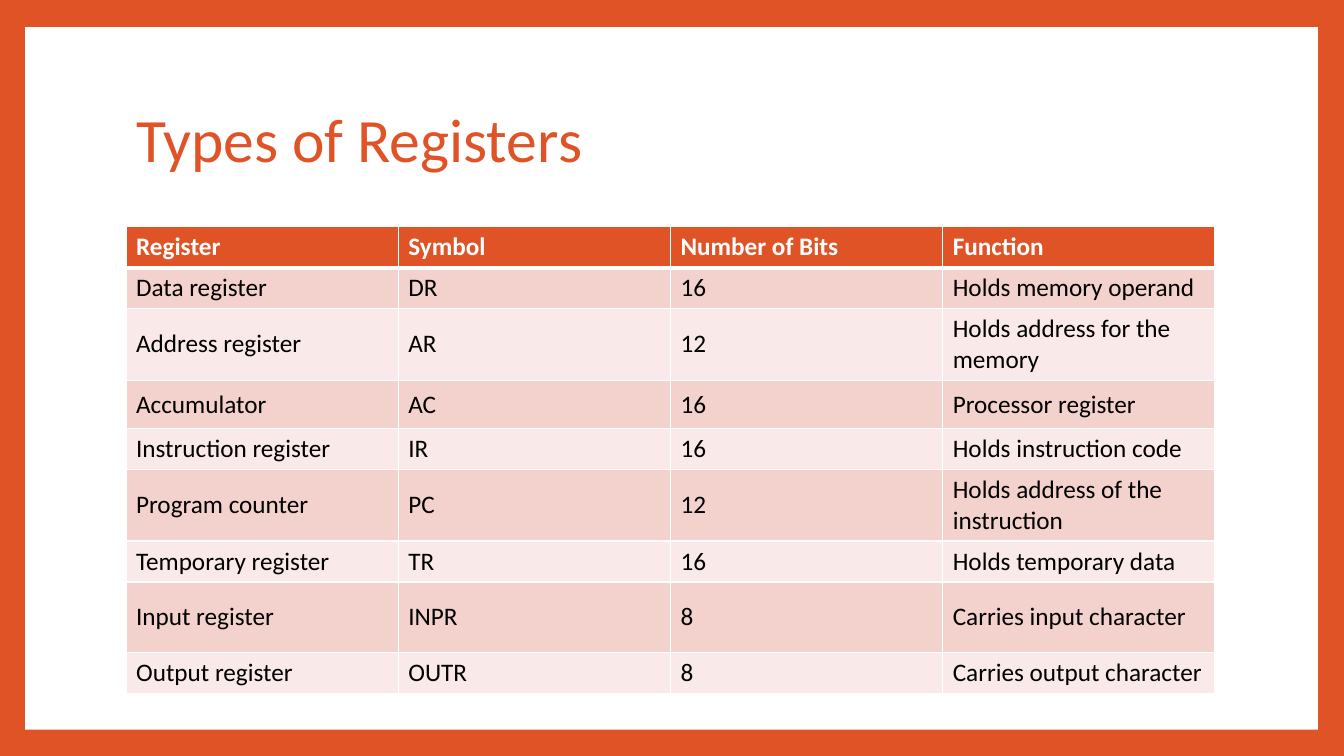
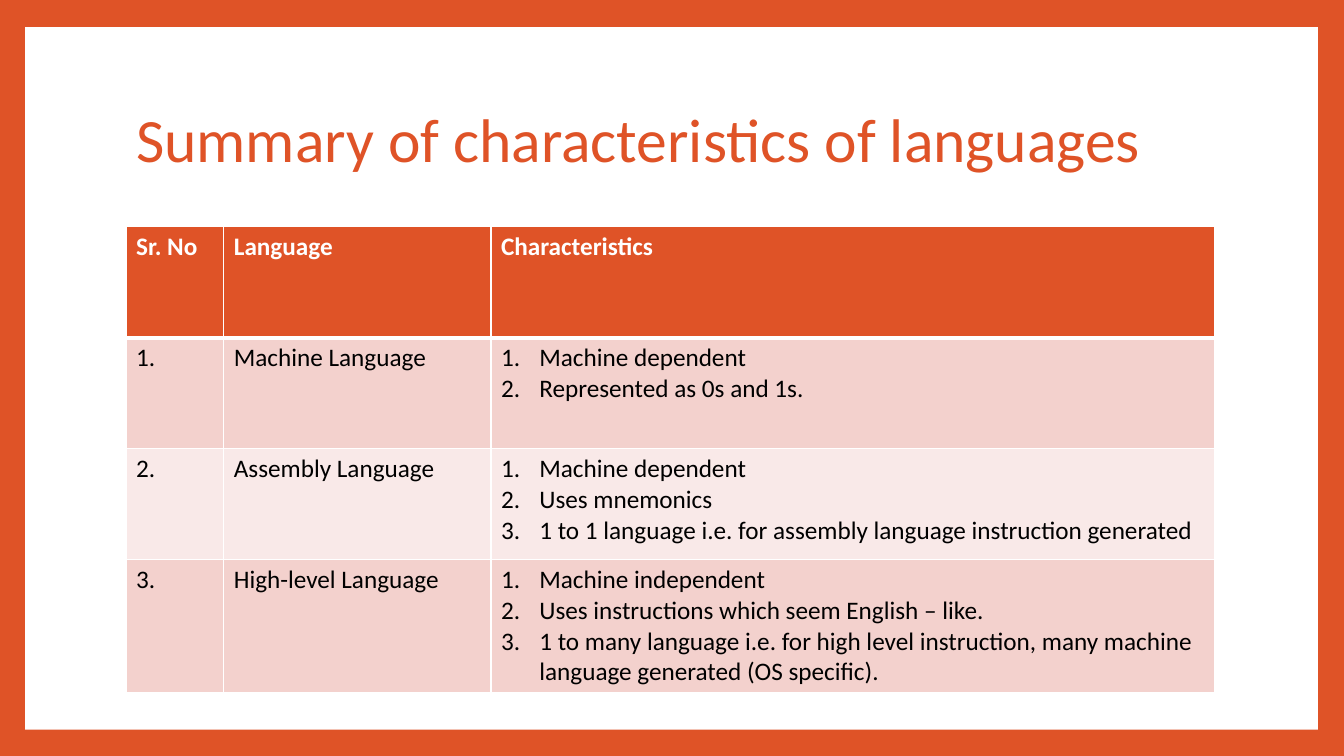
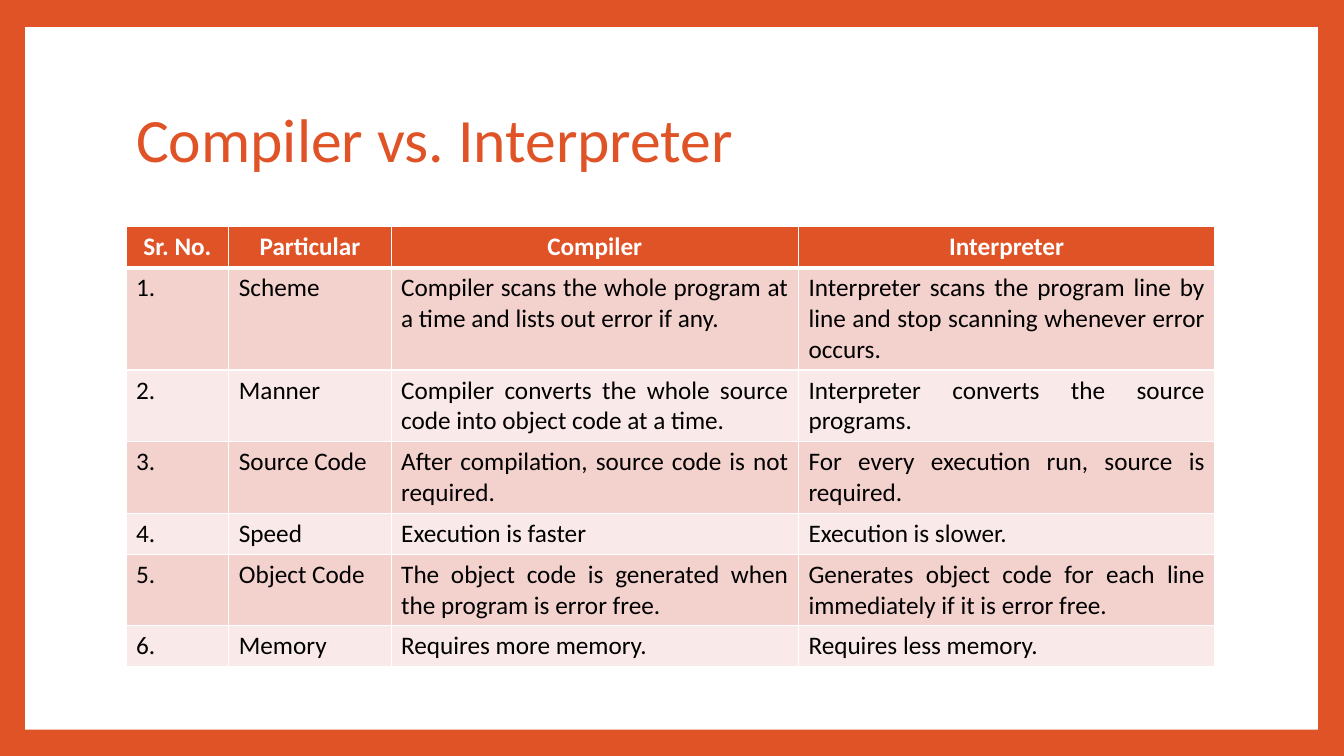
from dataclasses import dataclass
from typing import Any

from lxml.etree import SubElement
from pptx import Presentation
from pptx.dml.color import RGBColor
from pptx.enum.shapes import MSO_SHAPE
from pptx.enum.text import MSO_ANCHOR, MSO_AUTO_SIZE, PP_ALIGN
from pptx.oxml.ns import qn
from pptx.util import Pt

PX = 9144  # EMU in one px, at 100 px to the inch
WIDE, HIGH = 1333, 750
HUES = {
    "accent": "DF5327",
    "white": "FFFFFF",
    "black": "000000",
    "dark": "F3D1CD",
    "light": "F9E9E8",
}
FONT = "Calibri"
PANEL = (25, 27, 1282, 697)
TITLE = (125, 67, 1080, 148)
LEFT, TOP = 125, 225
HANG = 38
TITLE_FONT = {"name": FONT, "size": Pt(44), "bold": False}
HEAD_FONT = {"name": FONT, "size": Pt(18), "bold": True}
BODY_FONT = {"name": FONT, "size": Pt(18), "bold": False}


@dataclass(frozen=True)
class Grid:
    """One slide: a title and a table; a tuple in a cell is a numbered list."""
    title: str
    cols: tuple[int, ...]
    heights: tuple[int, ...]
    rows: tuple[tuple[Any, ...], ...]
    anchor: MSO_ANCHOR = MSO_ANCHOR.TOP
    head: PP_ALIGN = PP_ALIGN.LEFT
    prose: PP_ALIGN = PP_ALIGN.LEFT  # body cells from the third column on


GRIDS = (
    Grid(
        "Types of Registers",
        (270,) * 4,
        (40, 40, 70, 48, 40, 70, 40, 70, 40),
        (
            ("Register", "Symbol", "Number of Bits", "Function"),
            ("Data register", "DR", "16", "Holds memory operand"),
            ("Address register", "AR", "12", "Holds address for the memory"),
            ("Accumulator", "AC", "16", "Processor register"),
            ("Instruction register", "IR", "16", "Holds instruction code"),
            ("Program counter", "PC", "12", "Holds address of the instruction"),
            ("Temporary register", "TR", "16", "Holds temporary data"),
            ("Input register", "INPR", "8", "Carries input character"),
            ("Output register", "OUTR", "8", "Carries output character"),
        ),
        anchor=MSO_ANCHOR.MIDDLE,
    ),
    Grid(
        "Summary of characteristics of languages",
        (97, 265, 718),
        (110, 110, 110, 131),
        (
            ("Sr. No", "Language", "Characteristics"),
            ("1.", "Machine Language",
             ("Machine dependent", "Represented as 0s and 1s.")),
            ("2.", "Assembly Language",
             ("Machine dependent", "Uses mnemonics",
              "1 to 1 language i.e. for assembly language instruction generated")),
            ("3.", "High-level Language",
             ("Machine independent",
              "Uses instructions which seem English – like.",
              "1 to many language i.e. for high level instruction, "
              "many machine language generated (OS specific).")),
        ),
    ),
    Grid(
        "Compiler vs. Interpreter",
        (102, 161, 404, 413),
        (40, 101, 70, 70, 40, 70, 40),
        (
            ("Sr. No.", "Particular", "Compiler", "Interpreter"),
            ("1.", "Scheme",
             "Compiler scans the whole program at a time and lists out error if any.",
             "Interpreter scans the program line by line and stop scanning "
             "whenever error occurs."),
            ("2.", "Manner",
             "Compiler converts the whole source code into object code at a time.",
             "Interpreter converts the source programs."),
            ("3.", "Source Code",
             "After compilation, source code is not required.",
             "For every execution run, source is required."),
            ("4.", "Speed", "Execution is faster", "Execution is slower."),
            ("5.", "Object Code",
             "The object code is generated when the program is error free.",
             "Generates object code for each line immediately if it is error free."),
            ("6.", "Memory", "Requires more memory.", "Requires less memory."),
        ),
        head=PP_ALIGN.CENTER,
        prose=PP_ALIGN.JUSTIFY,
    ),
)


def emu(box: tuple[int, ...]) -> list[int]:
    return [n * PX for n in box]


def paint(fill: Any, hue: str) -> None:
    fill.solid()
    fill.fore_color.rgb = RGBColor.from_string(HUES[hue])


def style(font: Any, look: dict[str, Any], hue: str) -> None:
    for key, value in look.items():
        setattr(font, key, value)
    font.color.rgb = RGBColor.from_string(HUES[hue])


def number(para: Any) -> None:
    """Make the paragraph an item of a numbered list."""
    props = para._p.get_or_add_pPr()
    props.set("marL", str(HANG * PX))
    props.set("indent", str(-HANG * PX))
    SubElement(props, qn("a:buAutoNum"), type="arabicPeriod")


def edge(cell: Any, row: int) -> None:
    """Rule the cell in white, with a thick line below the header row."""
    widths = {"L": 1, "R": 1, "T": 3 if row == 1 else 1, "B": 1 if row else 3}
    props = cell._tc.get_or_add_tcPr()
    for side, width in widths.items():
        line = SubElement(props, qn(f"a:ln{side}"), w=str(Pt(width)))
        fill = SubElement(line, qn("a:solidFill"))
        SubElement(fill, qn("a:srgbClr"), val=HUES["white"])


def write(cell: Any, text: Any, align: PP_ALIGN, look: dict[str, Any], hue: str) -> None:
    items = text if isinstance(text, tuple) else (text,)
    frame = cell.text_frame
    for i, item in enumerate(items):
        para = frame.add_paragraph() if i else frame.paragraphs[0]
        if items is text:
            number(para)
        para.alignment = align
        run = para.add_run()
        run.text = item
        style(run.font, look, hue)


def draw_table(slide: Any, grid: Grid) -> None:
    box = emu((LEFT, TOP, sum(grid.cols), sum(grid.heights)))
    table = slide.shapes.add_table(len(grid.rows), len(grid.cols), *box).table
    for col, width in zip(table.columns, grid.cols):
        col.width = width * PX
    for r, (texts, height) in enumerate(zip(grid.rows, grid.heights)):
        table.rows[r].height = height * PX
        for c, text in enumerate(texts):
            cell = table.cell(r, c)
            edge(cell, r)
            if r == 0:
                paint(cell.fill, "accent")
                write(cell, text, grid.head, HEAD_FONT, "white")
            else:
                paint(cell.fill, "dark" if r % 2 else "light")
                cell.vertical_anchor = grid.anchor
                align = grid.prose if c > 1 else PP_ALIGN.LEFT
                write(cell, text, align, BODY_FONT, "black")


def draw_title(slide: Any, text: str) -> None:
    title = slide.shapes.title
    for key, value in zip(("left", "top", "width", "height"), emu(TITLE)):
        setattr(title, key, value)
    frame = title.text_frame
    frame.text = text
    frame.auto_size = MSO_AUTO_SIZE.NONE
    frame.vertical_anchor = MSO_ANCHOR.MIDDLE
    para = frame.paragraphs[0]
    para.alignment = PP_ALIGN.LEFT
    para.line_spacing = 0.9
    style(para.runs[0].font, TITLE_FONT, "accent")


def draw_panel(slide: Any) -> None:
    """Lay the white panel behind the title."""
    panel = slide.shapes.add_shape(MSO_SHAPE.RECTANGLE, *emu(PANEL))
    panel.shadow.inherit = False
    paint(panel.fill, "white")
    panel.line.fill.background()
    slide.shapes.element.insert(2, panel.element)


def main() -> None:
    deck = Presentation()
    deck.slide_width, deck.slide_height = emu((WIDE, HIGH))
    paint(deck.slide_master.background.fill, "accent")
    layout = deck.slide_layouts.get_by_name("Title Only")
    for grid in GRIDS:
        slide = deck.slides.add_slide(layout)
        draw_panel(slide)
        draw_title(slide, grid.title)
        draw_table(slide, grid)
    deck.save("out.pptx")


if __name__ == "__main__":
    main()
